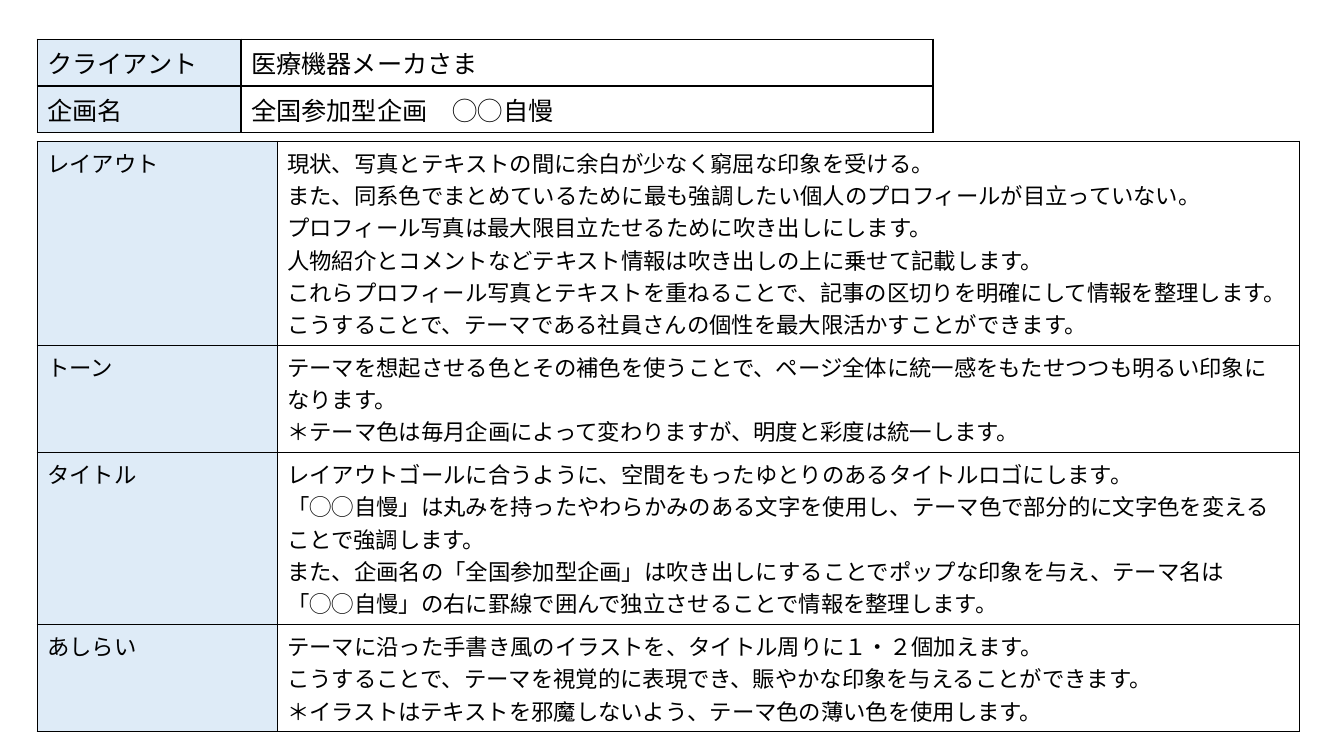
from pptx import Presentation
from pptx.util import Pt
from pptx.dml.color import RGBColor
from pptx.enum.text import MSO_ANCHOR
from pptx.oxml import parse_xml
from pptx.oxml.ns import nsdecls
from lxml.etree import SubElement
from pptx.oxml.ns import qn

# Content: label, paragraphs, number of text lines once wrapped
PROJECT = [
    ("クライアント", ["医療機器メーカさま"], 1),
    ("企画名", ["全国参加型企画　◯◯自慢"], 1),
]
DESIGN = [
    ("レイアウト", [
        "現状、写真とテキストの間に余白が少なく窮屈な印象を受ける。",
        "また、同系色でまとめているために最も強調したい個人のプロフィールが目立っていない。",
        "プロフィール写真は最大限目立たせるために吹き出しにします。",
        "人物紹介とコメントなどテキスト情報は吹き出しの上に乗せて記載します。",
        "これらプロフィール写真とテキストを重ねることで、記事の区切りを明確にして情報を整理します。",
        "こうすることで、テーマである社員さんの個性を最大限活かすことができます。",
    ], 6),
    ("トーン", [
        "テーマを想起させる色とその補色を使うことで、ページ全体に統一感をもたせつつも明るい印象になります。",
        "＊テーマ色は毎月企画によって変わりますが、明度と彩度は統一します。",
    ], 3),
    ("タイトル", [
        "レイアウトゴールに合うように、空間をもったゆとりのあるタイトルロゴにします。",
        "「◯◯自慢」は丸みを持ったやわらかみのある文字を使用し、テーマ色で部分的に文字色を変えることで強調します。",
        "また、企画名の「全国参加型企画」は吹き出しにすることでポップな印象を与え、"
        "テーマ名は「◯◯自慢」の右に罫線で囲んで独立させることで情報を整理します。",
    ], 5),
    ("あしらい", [
        "テーマに沿った手書き風のイラストを、タイトル周りに１・２個加えます。",
        "こうすることで、テーマを視覚的に表現でき、賑やかな印象を与えることができます。",
        "＊イラストはテキストを邪魔しないよう、テーマ色の薄い色を使用します。",
    ], 3),
]

THEME = {
    "label_fill": RGBColor(0xDE, 0xEB, 0xF7),
    "text_fill": RGBColor(0xFF, 0xFF, 0xFF),
    "ink": RGBColor(0, 0, 0),
    "project_size": 18,
    "design_size": 16,
    "japanese": "Noto Sans CJK JP",
    "latin": "Arial",
}
LEFT = 26.6
LINE_HEIGHT = 1.445  # relative to the type size
CELL_PADDING = 7.2   # top and bottom together


def draw_borders(cell):
    properties = cell._tc.get_or_add_tcPr()
    for side in ("lnL", "lnR", "lnT", "lnB"):
        properties.append(parse_xml(
            f'<a:{side} {nsdecls("a")} w="{Pt(1)}"><a:solidFill>'
            f'<a:srgbClr val="{THEME["ink"]}"/></a:solidFill></a:{side}>'))


def fill_cell(cell, paragraphs, size, fill, latin, anchor):
    draw_borders(cell)
    cell.fill.solid()
    cell.fill.fore_color.rgb = fill
    cell.vertical_anchor = anchor
    cell.text = "\n".join(paragraphs)
    for paragraph in cell.text_frame.paragraphs:
        font = paragraph.font
        font.size, font.name = Pt(size), latin
        font.color.rgb = THEME["ink"]
        for run in paragraph.runs:
            SubElement(run._r.get_or_add_rPr(), qn("a:ea"), typeface=THEME["japanese"])


def add_sheet(slide, rows, top, widths, size, text_latin, text_anchor):
    heights = [lines * size * LINE_HEIGHT + CELL_PADDING for _, _, lines in rows]
    sheet = slide.shapes.add_table(len(rows), 2, Pt(LEFT), Pt(top),
                                   Pt(sum(widths)), Pt(sum(heights))).table
    sheet.first_row = sheet.horz_banding = False
    for column, width in zip(sheet.columns, widths):
        column.width = Pt(width)
    for index, (label, paragraphs, _) in enumerate(rows):
        sheet.rows[index].height = Pt(heights[index])
        fill_cell(sheet.cell(index, 0), [label], size, THEME["label_fill"],
                  THEME["japanese"], MSO_ANCHOR.TOP)
        fill_cell(sheet.cell(index, 1), paragraphs, size, THEME["text_fill"],
                  text_latin, text_anchor)


presentation = Presentation()
presentation.slide_width, presentation.slide_height = Pt(960), Pt(540)
slide = presentation.slides.add_slide(presentation.slide_layouts[6])

# Project details above, design notes below
add_sheet(slide, PROJECT, 28.1, (145.6, 494.2), THEME["project_size"],
          THEME["japanese"], MSO_ANCHOR.TOP)
add_sheet(slide, DESIGN, 100.8, (171.4, 730), THEME["design_size"],
          THEME["latin"], MSO_ANCHOR.MIDDLE)

presentation.save("out.pptx")
